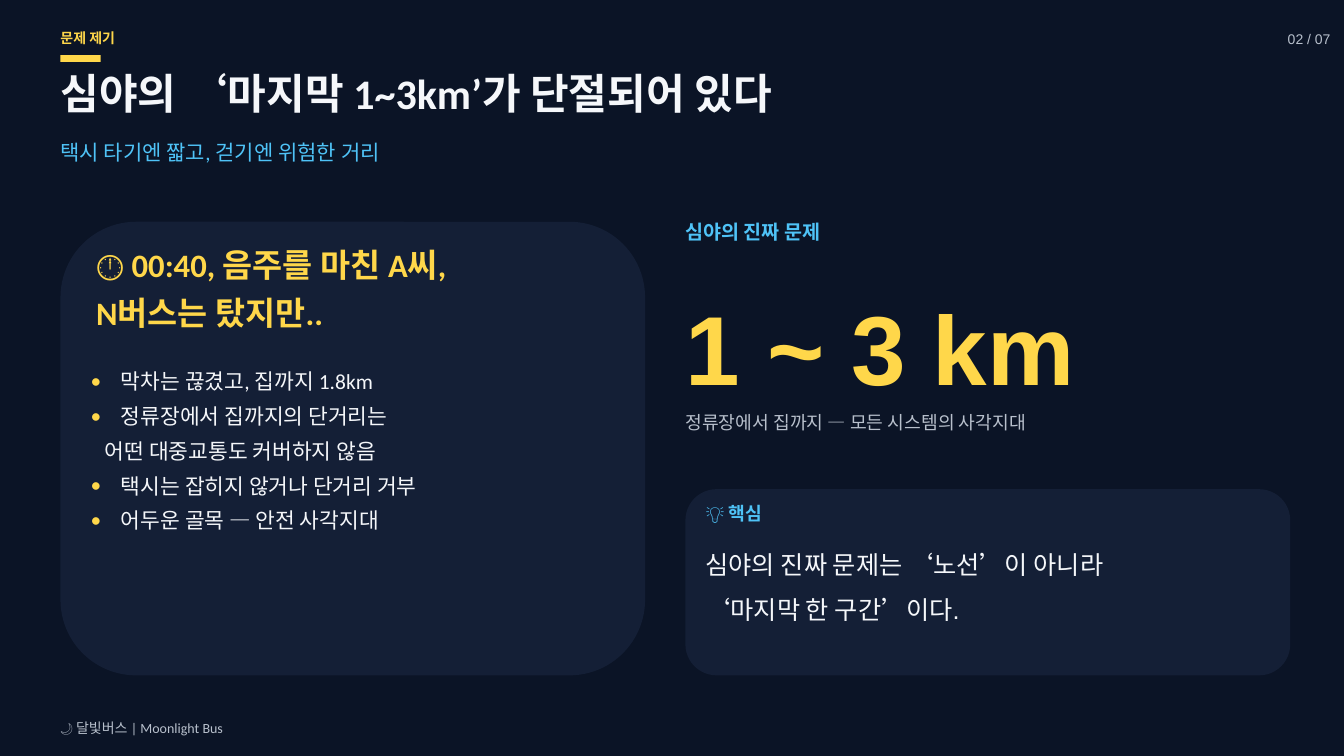
from dataclasses import dataclass

from lxml.etree import SubElement
from pptx import Presentation
from pptx.dml.color import RGBColor
from pptx.enum.shapes import MSO_SHAPE
from pptx.enum.text import MSO_ANCHOR, MSO_AUTO_SIZE, PP_ALIGN
from pptx.oxml.ns import qn
from pptx.util import Inches, Pt

NIGHT = RGBColor(0x0B, 0x14, 0x26)
PANEL = RGBColor(0x14, 0x1F, 0x36)
YELLOW = RGBColor(0xFF, 0xD7, 0x4A)
SKY = RGBColor(0x4F, 0xC3, 0xF7)
WHITE = RGBColor(0xF5, 0xF7, 0xFA)
GREY = RGBColor(0xB8, 0xC0, 0xCC)

MARGIN = 0.9
RIGHT_COLUMN = 10.2
KEY_TEXT = 10.5
BULLET_INDENT = 0.45
CONTINUATION_INDENT = 0.21


@dataclass(frozen=True)
class Box:
    left: float
    top: float
    width: float
    height: float

    def lengths(self) -> list:
        return [Inches(v) for v in (self.left, self.top, self.width, self.height)]


@dataclass(frozen=True)
class Line:
    text: str
    font: str = "Calibri"
    bulleted: bool = False
    indent: float = 0


@dataclass(frozen=True)
class Label:
    box: Box
    lines: tuple[Line, ...]
    size: float
    color: RGBColor
    spacing: float
    bold: bool = False
    align: PP_ALIGN = PP_ALIGN.LEFT


@dataclass(frozen=True)
class Block:
    box: Box
    color: RGBColor
    preset: MSO_SHAPE = MSO_SHAPE.ROUNDED_RECTANGLE


BLOCKS = (
    Block(Box(MARGIN, 0.82, 0.6, 0.1), YELLOW, MSO_SHAPE.RECTANGLE),
    Block(Box(MARGIN, 3.3, 8.7, 6.75), PANEL),
    Block(Box(RIGHT_COLUMN, 7.28, 9, 2.77), PANEL),
)

HEADLINE = Label(Box(MARGIN, 0.81, 18, 1.29),
                 (Line("심야의 ‘마지막 1~3km’가 단절되어 있다"),), 45, WHITE, 67.5, True)

LABELS = (
    Label(Box(18, 0.39, 1.8, 0.51), (Line("02 / 07", "Arial"),),
          15, GREY, 22.5, align=PP_ALIGN.RIGHT),
    Label(Box(MARGIN, 0.37, 12, 0.53), (Line("문제 제기"),), 15, YELLOW, 22.5, True),
    Label(Box(MARGIN, 1.98, 18, 0.72),
          (Line("택시 타기엔 짧고, 걷기엔 위험한 거리"),), 22.5, SKY, 33.8),
    Label(Box(1.43, 3.49, 7.8, 1.48),
          (Line("🕛 00:40, 음주를 마친 A씨,"), Line("N버스는 탔지만..")),
          35, YELLOW, 52.5, True),
    Label(Box(1.35, 5.35, 7.8, 2.57),
          (Line("막차는 끊겼고, 집까지 1.8km", bulleted=True),
           Line("정류장에서 집까지의 단거리는", bulleted=True),
           Line("어떤 대중교통도 커버하지 않음", indent=CONTINUATION_INDENT),
           Line("택시는 잡히지 않거나 단거리 거부", bulleted=True),
           Line("어두운 골목 — 안전 사각지대", bulleted=True)),
          23, WHITE, 37.2),
    Label(Box(RIGHT_COLUMN, 3.19, 9, 0.86), (Line("심야의 진짜 문제"),),
          21, SKY, 31.5, True),
    Label(Box(RIGHT_COLUMN, 3.84, 9, 2.16), (Line("1 ~ 3 km", "Arial"),),
          105, YELLOW, 157.5, True),
    Label(Box(RIGHT_COLUMN, 6.04, 9, 0.86),
          (Line("정류장에서 집까지 — 모든 시스템의 사각지대"),), 19.5, GREY, 29.2),
    Label(Box(KEY_TEXT, 7.39, 8.4, 0.71), (Line("💡 핵심"),), 19.5, SKY, 29.2, True),
    Label(Box(KEY_TEXT, 7.95, 8.4, 1.34),
          (Line("심야의 진짜 문제는 ‘노선’이 아니라"),
           Line("‘마지막 한 구간’이다.", "Arial")), 27, WHITE, 48.6),
    Label(Box(MARGIN, 10.64, 12, 0.53), (Line("🌙 달빛버스 | Moonlight Bus"),),
          15, GREY, 22.5),
)


def apply_format(target, values: dict) -> None:
    for attribute, value in values.items():
        setattr(target, attribute, value)


def indent_paragraph(paragraph, line: Line) -> None:
    properties = paragraph._p.get_or_add_pPr()
    margin = BULLET_INDENT if line.bulleted else line.indent
    properties.set("marL", str(Inches(margin)))
    properties.set("indent", str(-Inches(margin) if line.bulleted else 0))
    if line.bulleted:
        bullet_color = SubElement(properties, qn("a:buClr"))
        SubElement(bullet_color, qn("a:srgbClr"), val=str(YELLOW))
        SubElement(properties, qn("a:buFont"), typeface="Calibri")
        SubElement(properties, qn("a:buChar"), char="•")
    else:
        SubElement(properties, qn("a:buNone"))


def write_label(shape, label: Label) -> None:
    frame = shape.text_frame
    apply_format(frame, {
        "word_wrap": True, "auto_size": MSO_AUTO_SIZE.NONE,
        "vertical_anchor": MSO_ANCHOR.TOP,
        "margin_left": 0, "margin_top": 0, "margin_right": 0, "margin_bottom": 0,
    })
    for index, line in enumerate(label.lines):
        paragraph = frame.add_paragraph() if index else frame.paragraphs[0]
        indent_paragraph(paragraph, line)
        apply_format(paragraph, {
            "alignment": label.align, "line_spacing": Pt(label.spacing),
            "space_before": Pt(0), "space_after": Pt(0),
        })
        run = paragraph.add_run()
        run.text = line.text
        apply_format(run.font, {
            "name": line.font, "size": Pt(label.size), "bold": label.bold,
        })
        run.font.color.rgb = label.color


def draw_block(slide, block: Block) -> None:
    shape = slide.shapes.add_shape(block.preset, *block.box.lengths())
    shape.shadow.inherit = False
    shape.fill.solid()
    shape.fill.fore_color.rgb = block.color
    shape.line.fill.background()


def main() -> None:
    presentation = Presentation()
    apply_format(presentation, {"slide_width": Inches(20), "slide_height": Inches(11.25)})
    slide = presentation.slides.add_slide(presentation.slide_layouts[5])
    slide.background.fill.solid()
    slide.background.fill.fore_color.rgb = NIGHT

    headline = slide.shapes.title
    apply_format(headline, dict(zip(("left", "top", "width", "height"),
                                    HEADLINE.box.lengths())))
    write_label(headline, HEADLINE)
    for block in BLOCKS:
        draw_block(slide, block)
    for label in LABELS:
        write_label(slide.shapes.add_textbox(*label.box.lengths()), label)

    presentation.save("out.pptx")


if __name__ == "__main__":
    main()
